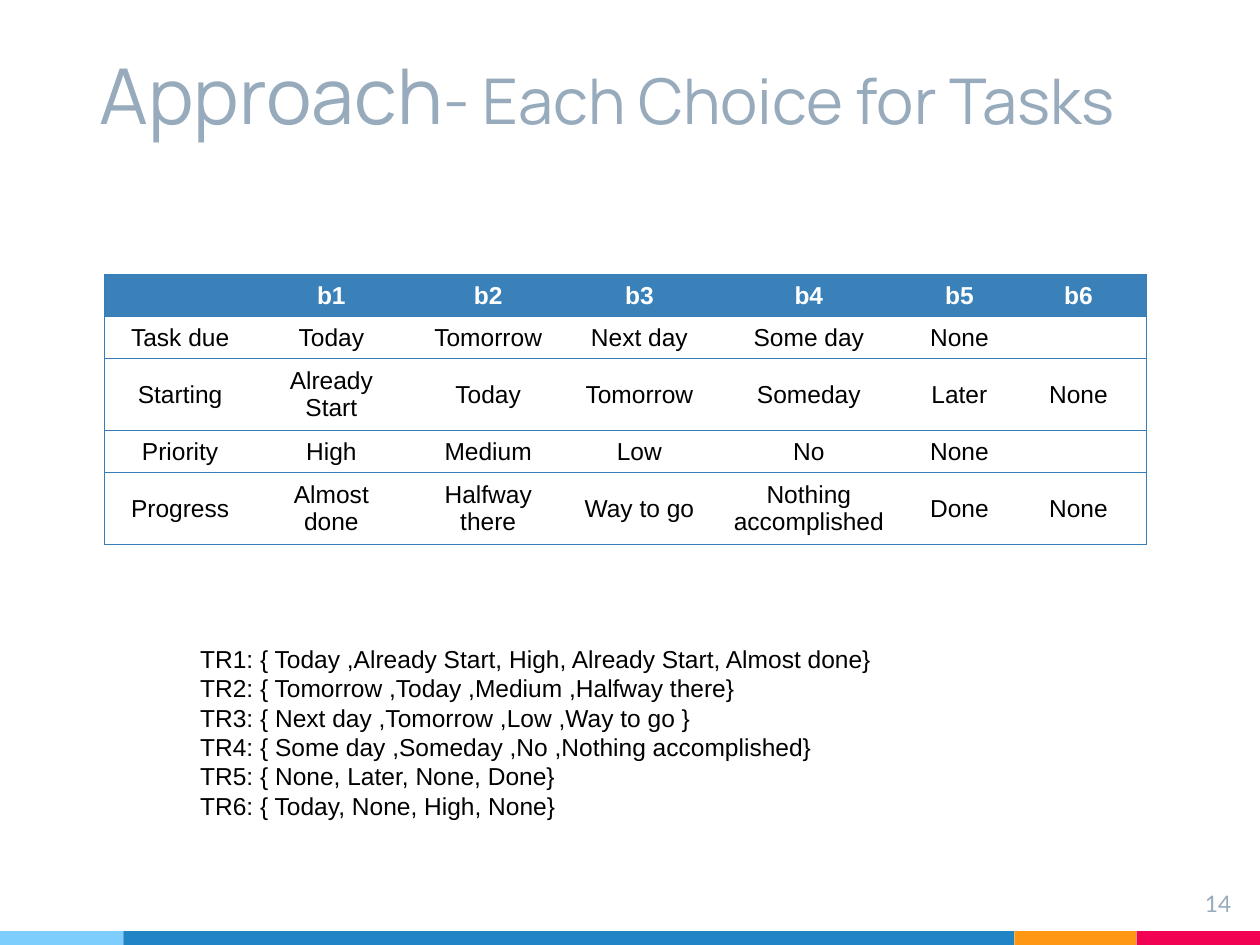
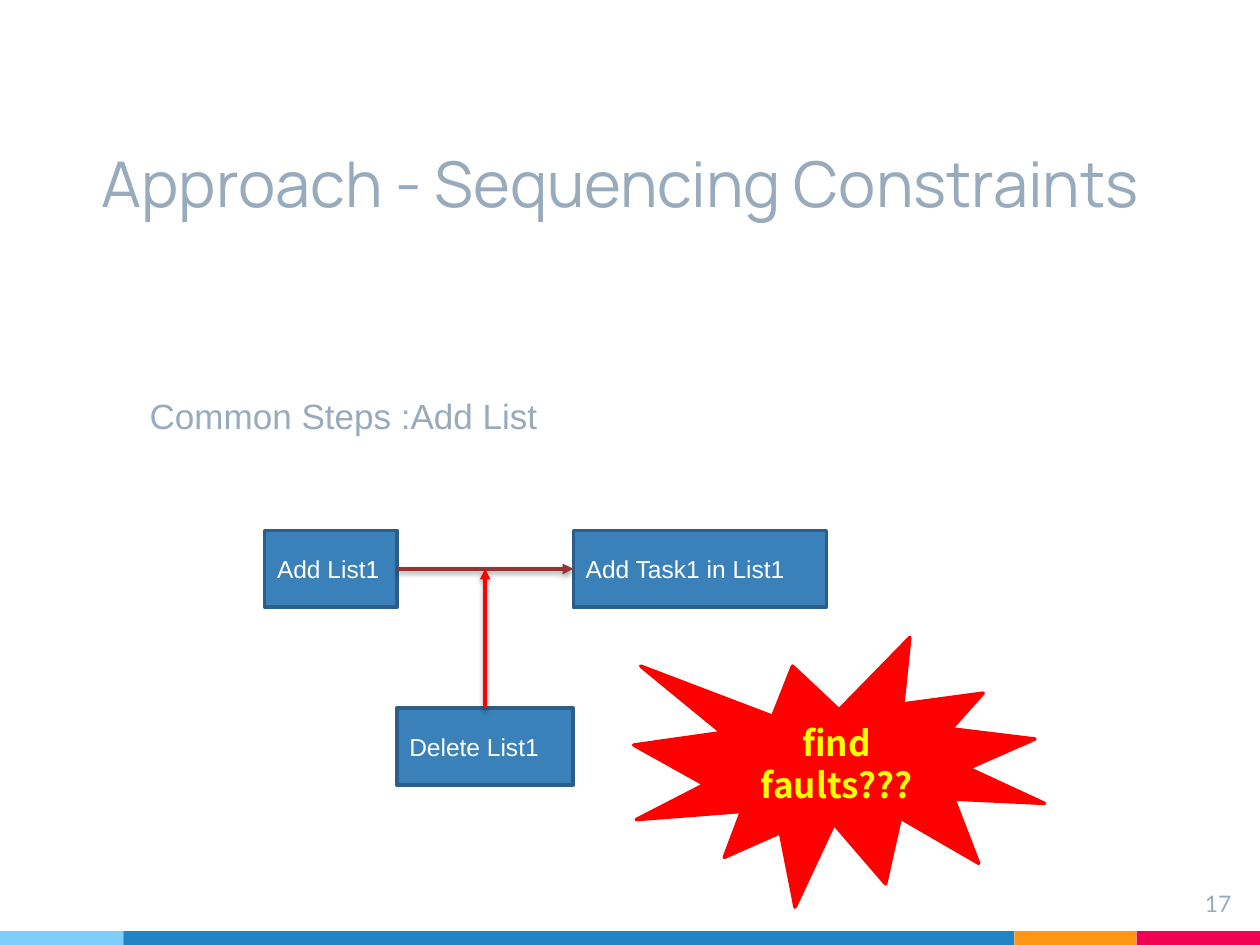
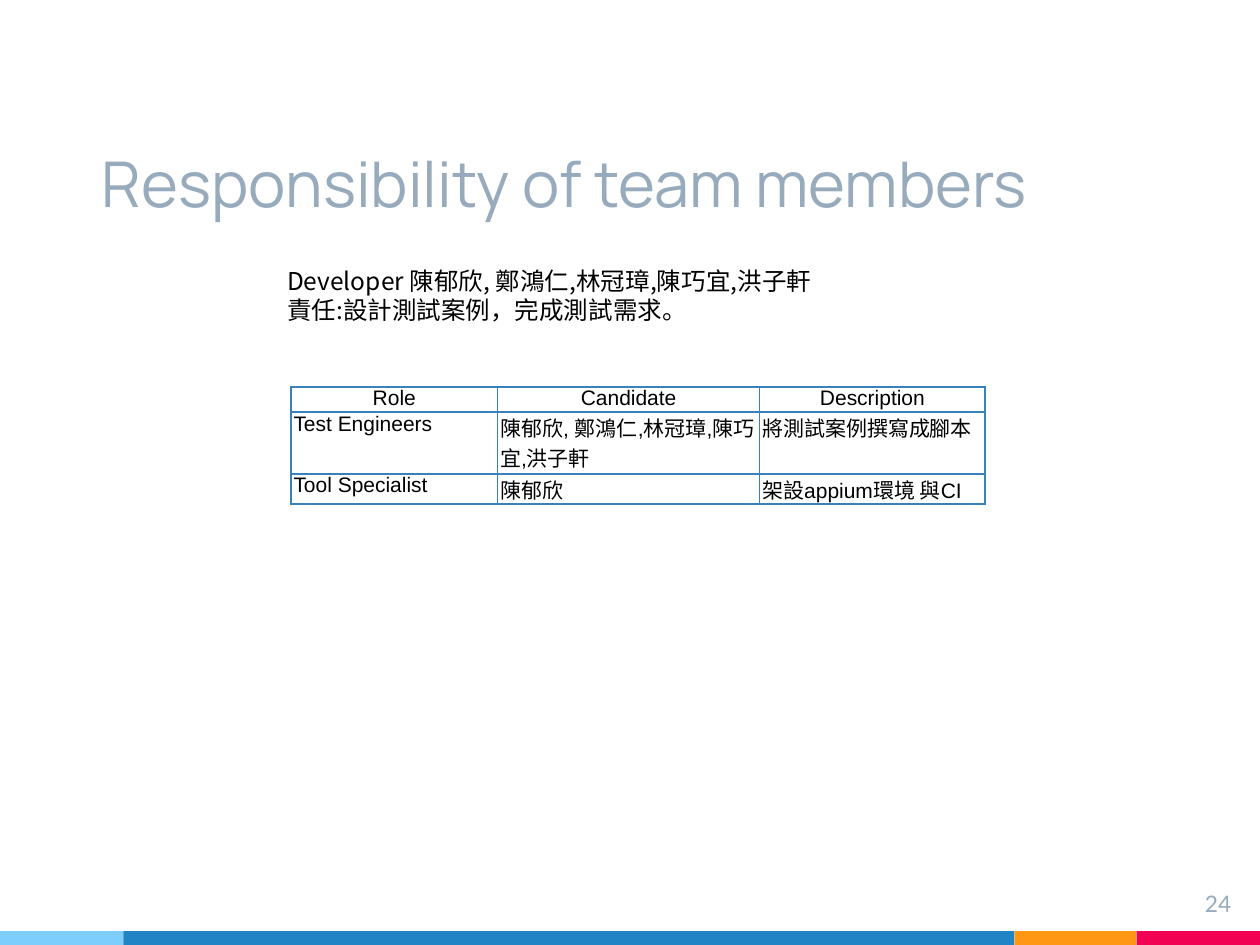
from lxml.etree import SubElement
from pptx import Presentation
from pptx.dml.color import RGBColor
from pptx.enum.shapes import MSO_CONNECTOR, MSO_SHAPE
from pptx.enum.text import MSO_ANCHOR, PP_ALIGN
from pptx.oxml import parse_xml
from pptx.oxml.ns import nsdecls, qn
from pptx.util import Inches, Pt

COLORS = {
    "title": "97ABBC", "text": "000000", "white": "FFFFFF",
    "sky": "7ECEFD", "blue": "2185C5", "orange": "FF9715", "pink": "F20253",
    "box": "3A81BA", "box_line": "2B5F8A", "rule": "367EB9",
    "flow": "963334", "red": "FF0000", "yellow": "FFFF00",
}
TITLE_FONT, BODY_FONT, NUMBER_FONT, CJK_FONT = "Manrope", "Arial", "Lato", "Noto Sans CJK SC"
TITLE_BOX = (0.71, 0.6, 9.04, 1.25)
NUMBER_BOX = (9.27, 6.96, 0.6, 0.46)
BAND_BOX = (0, 7.39, 10, 0.11)
BANDS = [("sky", 0.98), ("blue", 7.07), ("orange", 0.97), ("pink", 0.98)]


def rgb(name):
    return RGBColor.from_string(COLORS[name])


def inches(box):
    return [Inches(length) for length in box]


def write_text(frame, text, size=14, font=BODY_FONT, color="text", bold=False,
               align=PP_ALIGN.LEFT, anchor=MSO_ANCHOR.TOP, insets=(0.1, 0.05), wrap=True):
    """Write lines of text; a line may be a list of (text, size) runs."""
    frame.word_wrap = wrap
    frame.vertical_anchor = anchor
    frame.margin_left = frame.margin_right = Inches(insets[0])
    frame.margin_top = frame.margin_bottom = Inches(insets[1])
    lines = [text] if isinstance(text, str) else text
    for index, line in enumerate(lines):
        paragraph = frame.add_paragraph() if index else frame.paragraphs[0]
        paragraph.alignment = align
        if not line:
            SubElement(paragraph._p, qn("a:endParaRPr"), sz=str(size * 100))
            continue
        for part, part_size in [(line, size)] if isinstance(line, str) else line:
            run = paragraph.add_run()
            run.text = part
            run.font.size = Pt(part_size)
            run.font.name = font
            run.font.bold = bold
            run.font.color.rgb = rgb(color)
            SubElement(run._r.get_or_add_rPr(), qn("a:ea"), typeface=CJK_FONT)


def add_text(slide, box, text, **style):
    shape = slide.shapes.add_textbox(*inches(box))
    write_text(shape.text_frame, text, **style)


def add_filled_shape(slide, kind, box, fill, line=None):
    shape = slide.shapes.add_shape(kind, *inches(box))
    shape.shadow.inherit = False
    shape.fill.solid()
    shape.fill.fore_color.rgb = rgb(fill)
    if line:
        shape.line.color.rgb = rgb(line)
        shape.line.width = Pt(2)
    else:
        shape.line.fill.background()
    return shape


def add_step(slide, box, text):
    step = add_filled_shape(slide, MSO_SHAPE.RECTANGLE, box, "box", "box_line")
    write_text(step.text_frame, text, color="white", anchor=MSO_ANCHOR.MIDDLE)
    return step


def add_arrow(slide, start, end, color):
    arrow = slide.shapes.add_connector(MSO_CONNECTOR.STRAIGHT, *inches(start + end))
    arrow.line.color.rgb = rgb(color)
    arrow.line.width = Pt(2)
    SubElement(arrow.line._get_or_add_ln(), qn("a:tailEnd"), type="triangle")
    arrow._element.spPr.append(parse_xml(
        f'<a:effectLst {nsdecls("a")}><a:outerShdw blurRad="{Pt(3.1)}" dist="{Pt(1.6)}" '
        'dir="5400000" rotWithShape="0"><a:srgbClr val="000000"><a:alpha val="38000"/>'
        '</a:srgbClr></a:outerShdw></a:effectLst>'))
    return arrow


def set_borders(cell, sides, color, width):
    """Draw the named sides (L, R, T, B) and clear the others."""
    properties = cell._tc.get_or_add_tcPr()
    for index, side in enumerate("LRTB"):
        paint = (f'<a:solidFill><a:srgbClr val="{COLORS[color]}"/></a:solidFill>'
                 if side in sides else "<a:noFill/>")
        properties.insert(index, parse_xml(
            f'<a:ln{side} {nsdecls("a")} w="{Pt(width)}">{paint}</a:ln{side}>'))


def add_grid(slide, origin, widths, heights, rows, style_cell):
    """Add a table and let style_cell(cell, text, row, column) format each cell."""
    box = (*origin, sum(widths), sum(heights))
    table = slide.shapes.add_table(len(rows), len(widths), *inches(box)).table
    for column, width in zip(table.columns, widths):
        column.width = Inches(width)
    for row, height in zip(table.rows, heights):
        row.height = Inches(height)
    for row_index, row in enumerate(rows):
        for column_index, text in enumerate(row):
            style_cell(table.cell(row_index, column_index), text, row_index, column_index)


def add_bands(slide, box):
    left, top, _, height = box
    for color, width in BANDS:
        add_filled_shape(slide, MSO_SHAPE.RECTANGLE, (left, top, width, height), color)
        left += width


def add_base_slide(presentation, title, number, title_box=TITLE_BOX):
    slide = presentation.slides.add_slide(presentation.slide_layouts[6])
    add_bands(slide, BAND_BOX)
    add_text(slide, title_box, [title], size=36, font=TITLE_FONT, color="title",
             anchor=MSO_ANCHOR.BOTTOM, insets=(0.1, 0.1))
    add_text(slide, NUMBER_BOX, number, size=13, font=NUMBER_FONT, color="title",
             align=PP_ALIGN.RIGHT, insets=(0.1, 0.1))
    return slide


def add_choice_table(slide, origin):
    rows = [
        ["", "b1", "b2", "b3", "b4", "b5", "b6"],
        ["Task due", "Today", "Tomorrow", "Next day", "Some day", "None", ""],
        ["Starting", "Already Start", "Today", "Tomorrow", "Someday", "Later", "None"],
        ["Priority", "High", "Medium", "Low", "No", "None", ""],
        ["Progress", "Almost done", "Halfway there", "Way to go ",
         "Nothing accomplished", "Done", "None"],
    ]
    widths = [1.2, 1.2, 1.29, 1.11, 1.58, 0.81, 1.08]

    def style_cell(cell, text, row, column):
        header = row == 0
        write_text(cell.text_frame, text, color="white" if header else "text",
                   bold=header, align=PP_ALIGN.CENTER)
        cell.vertical_anchor = MSO_ANCHOR.MIDDLE
        if header:
            cell.fill.solid()
            cell.fill.fore_color.rgb = rgb("box")
        else:
            cell.fill.background()
        outer = {0: "L", len(widths) - 1: "R"}.get(column, "")
        set_borders(cell, "TB" + outer, "rule", 0.75)

    add_grid(slide, origin, widths, [0.33, 0.33, 0.57, 0.33, 0.57], rows, style_cell)


def add_role_table(slide, origin):
    rows = [
        ["Role", "Candidate", "Description"],
        ["Test Engineers", "陳郁欣, 鄭鴻仁,林冠璋,陳巧宜,洪子軒", "將測試案例撰寫成腳本"],
        ["Tool Specialist", "陳郁欣", "架設appium環境 與CI"],
    ]

    def style_cell(cell, text, row, column):
        write_text(cell.text_frame, text, size=12,
                   align=PP_ALIGN.LEFT if row else PP_ALIGN.CENTER)
        cell.margin_left = cell.margin_right = Inches(0.02)
        cell.margin_top = cell.margin_bottom = 0
        cell.fill.background()
        set_borders(cell, "LRTB", "box", 1)

    add_grid(slide, origin, [1.64, 2.08, 1.79], [0.18, 0.49, 0.24], rows, style_cell)


def add_sequence(slide, box):
    left, top, width, height = box
    step_height = 0.61
    middle = top + step_height / 2
    add_list = add_step(slide, (left, top, 1.05, step_height), "Add List1")
    add_task = add_step(slide, (left + width - 2.01, top, 2.01, step_height),
                        "Add Task1 in List1")
    flow = add_arrow(slide, (left + 1.05, middle), (left + width - 2.01, middle), "flow")
    flow.begin_connect(add_list, 3)
    flow.end_connect(add_task, 1)

    # The deletion cuts in halfway along the flow
    delete_top = top + height - step_height
    delete_list = add_step(slide, (left + 1.05, delete_top, 1.4, step_height), "Delete List1")
    center = left + 1.05 + 1.4 / 2
    cut = add_arrow(slide, (center, delete_top), (center, middle), "red")
    cut.begin_connect(delete_list, 0)


def add_burst(slide, box, text):
    burst = add_filled_shape(slide, MSO_SHAPE.EXPLOSION1, box, "red", "red")
    write_text(burst.text_frame, text, size=20, font=CJK_FONT, color="yellow", bold=True,
               align=PP_ALIGN.CENTER, anchor=MSO_ANCHOR.MIDDLE)


def build_choice_slide(presentation):
    title = [("Approach", 44), ("- Each Choice for Tasks", 36)]
    slide = add_base_slide(presentation, title, "14", (0.69, 0.65, 8.72, 0.56))
    add_text(slide, (1.49, 5.06, 6.5, 1.51), [
        "TR1: { Today ,Already Start, High, Already Start, Almost done}",
        "TR2: { Tomorrow ,Today ,Medium ,Halfway there}",
        "TR3: { Next day ,Tomorrow ,Low ,Way to go }",
        "TR4: { Some day ,Someday ,No ,Nothing accomplished}",
        "TR5: { None, Later, None, Done}",
        "TR6: { Today, None, High, None}",
    ])
    add_choice_table(slide, (0.83, 2.18))


def build_sequence_slide(presentation):
    slide = add_base_slide(presentation, "Approach - Sequencing Constraints", "17")
    add_text(slide, (1.09, 3.08, 3.3, 0.44), "Common Steps :Add List",
             size=20, color="title", wrap=False)
    add_sequence(slide, (2.1, 4.21, 4.46, 2.02))
    add_burst(slide, (5.03, 5.06, 3.26, 2.14), "find faults???")


def build_team_slide(presentation):
    slide = add_base_slide(presentation, "Responsibility of team members", "24")
    add_role_table(slide, (2.31, 3.07))
    add_text(slide, (2.18, 2.06, 6.39, 0.81), [
        "Developer 陳郁欣, 鄭鴻仁,林冠璋,陳巧宜,洪子軒",
        "責任:設計測試案例，完成測試需求。",
    ], font=CJK_FONT)


def main():
    presentation = Presentation()
    presentation.slide_width = Inches(10)
    presentation.slide_height = Inches(7.5)
    build_choice_slide(presentation)
    build_sequence_slide(presentation)
    build_team_slide(presentation)
    presentation.save("out.pptx")


if __name__ == "__main__":
    main()
